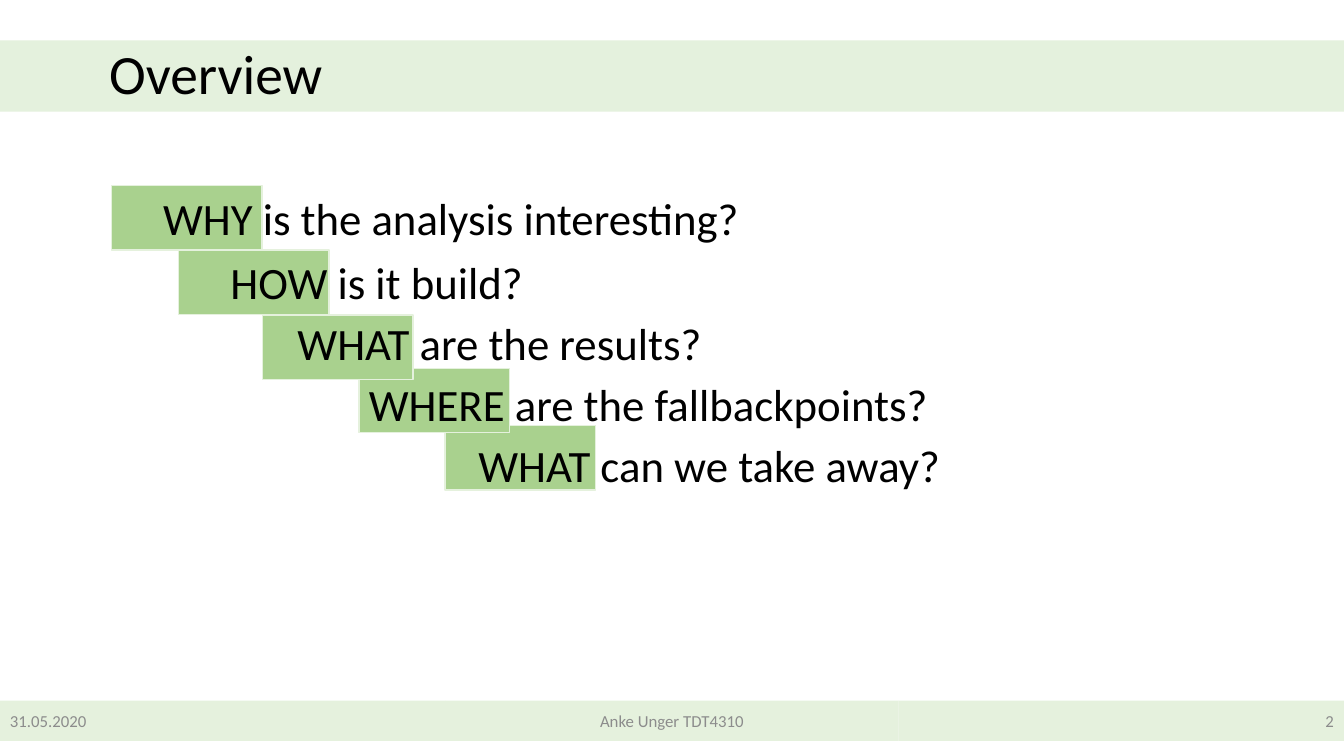
import pptx
import pptx.dml.color
import pptx.enum.shapes
import pptx.enum.text
import pptx.oxml.ns
import pptx.util
from lxml import etree

Pt = pptx.util.Pt
ALIGN = pptx.enum.text.PP_ALIGN
ANCHOR = pptx.enum.text.MSO_ANCHOR

COLOURS = {
    "highlight": "A9D18E",
    "pale": "E5F1DD",
    "title band": "C5E0B4",
    "text": "000000",
    "footer text": "8C8C8C",
}
FONT = "Calibri"
PAGE_WIDTH, PAGE_HEIGHT = 960, 540
ROW_HEIGHT = 46
HIGHLIGHT_WIDTH = 107.5
QUESTION_WIDTH = 450.5

# Question, left and top of its text, left and top of its highlight
QUESTIONS = [
    ("WHY is the analysis interesting?", 109.4, 132.5, 79.6, 132.5),
    ("HOW is it build?", 157.5, 178.5, 127.7, 178.5),
    ("WHAT are the results?", 205.4, 222, 187.5, 225),
    ("WHERE are the fallbackpoints?", 256.4, 265.6, 256.4, 263),
    ("WHAT can we take away?", 334.6, 309, 318, 304),
]

# Text, width and alignment of each footer part, from left to right
FOOTER = [
    ("31.05.2020", 318, ALIGN.LEFT),
    ("Anke Unger TDT4310", 324, ALIGN.CENTER),
    ("2", 318, ALIGN.RIGHT),
]


def colour(name):
    return pptx.dml.color.RGBColor.from_string(COLOURS[name])


def add_block(page, left, top, width, height, fill, outline=None):
    block = page.shapes.add_shape(
        pptx.enum.shapes.MSO_SHAPE.RECTANGLE,
        Pt(left), Pt(top), Pt(width), Pt(height))
    block.shadow.inherit = False
    block.fill.solid()
    block.fill.fore_color.rgb = colour(fill)
    if outline:
        block.line.color.rgb = colour(outline)
        block.line.width = Pt(1)
    else:
        block.line.fill.background()
    return block


def write(box, text, size, ink, align=ALIGN.LEFT, anchor=ANCHOR.MIDDLE):
    frame = box.text_frame
    frame.word_wrap = True
    frame.vertical_anchor = anchor
    frame.text = text
    para = frame.paragraphs[0]
    para.alignment = align
    span = para.runs[0]
    span.font.name = FONT
    span.font.size = Pt(size)
    span.font.color.rgb = colour(ink)
    return para


def set_opacity(block, percent):
    tint = block.fill._xPr.find(".//" + pptx.oxml.ns.qn("a:srgbClr"))
    alpha = etree.SubElement(tint, pptx.oxml.ns.qn("a:alpha"))
    alpha.set("val", str(percent * 1000))


def add_title(page, text):
    band = add_block(page, 0, 28.8, PAGE_WIDTH, 51, "title band")
    set_opacity(band, 45)
    para = write(band, text, 39.6, "text")
    para.line_spacing = 0.9
    band.text_frame.margin_left = Pt(78)


def add_question(page, text, left, top):
    box = page.shapes.add_textbox(
        Pt(left), Pt(top), Pt(QUESTION_WIDTH), Pt(ROW_HEIGHT))
    write(box, text, 32, "text", anchor=ANCHOR.TOP)
    box.text_frame.auto_size = pptx.enum.text.MSO_AUTO_SIZE.SHAPE_TO_FIT_TEXT


def add_footer(page):
    left = 0
    for text, width, align in FOOTER:
        part = add_block(page, left, 500.5, width, 28.75, "pale")
        write(part, text, 12, "footer text", align)
        left += width


def main():
    deck = pptx.Presentation()
    deck.slide_width, deck.slide_height = Pt(PAGE_WIDTH), Pt(PAGE_HEIGHT)
    page = deck.slides.add_slide(deck.slide_layouts[6])

    # Highlights, the lowest one furthest back
    for _, _, _, left, top in reversed(QUESTIONS):
        add_block(page, left, top, HIGHLIGHT_WIDTH, ROW_HEIGHT,
                  "highlight", "pale")

    # Title band and footer
    add_title(page, "Overview")
    add_footer(page)

    # Questions over their highlights
    for text, left, top, _, _ in QUESTIONS:
        add_question(page, text, left, top)

    deck.save("out.pptx")


if __name__ == "__main__":
    main()
